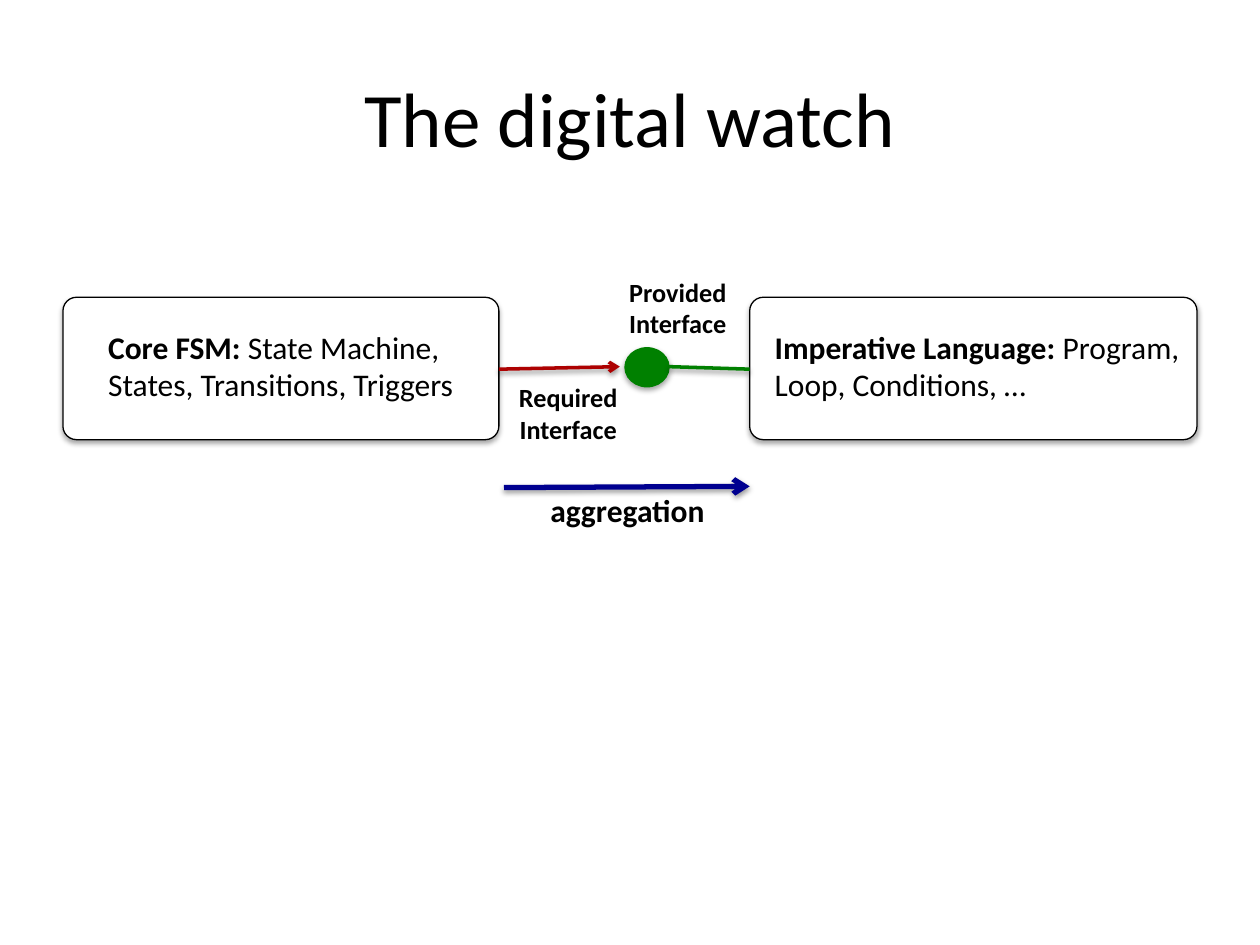
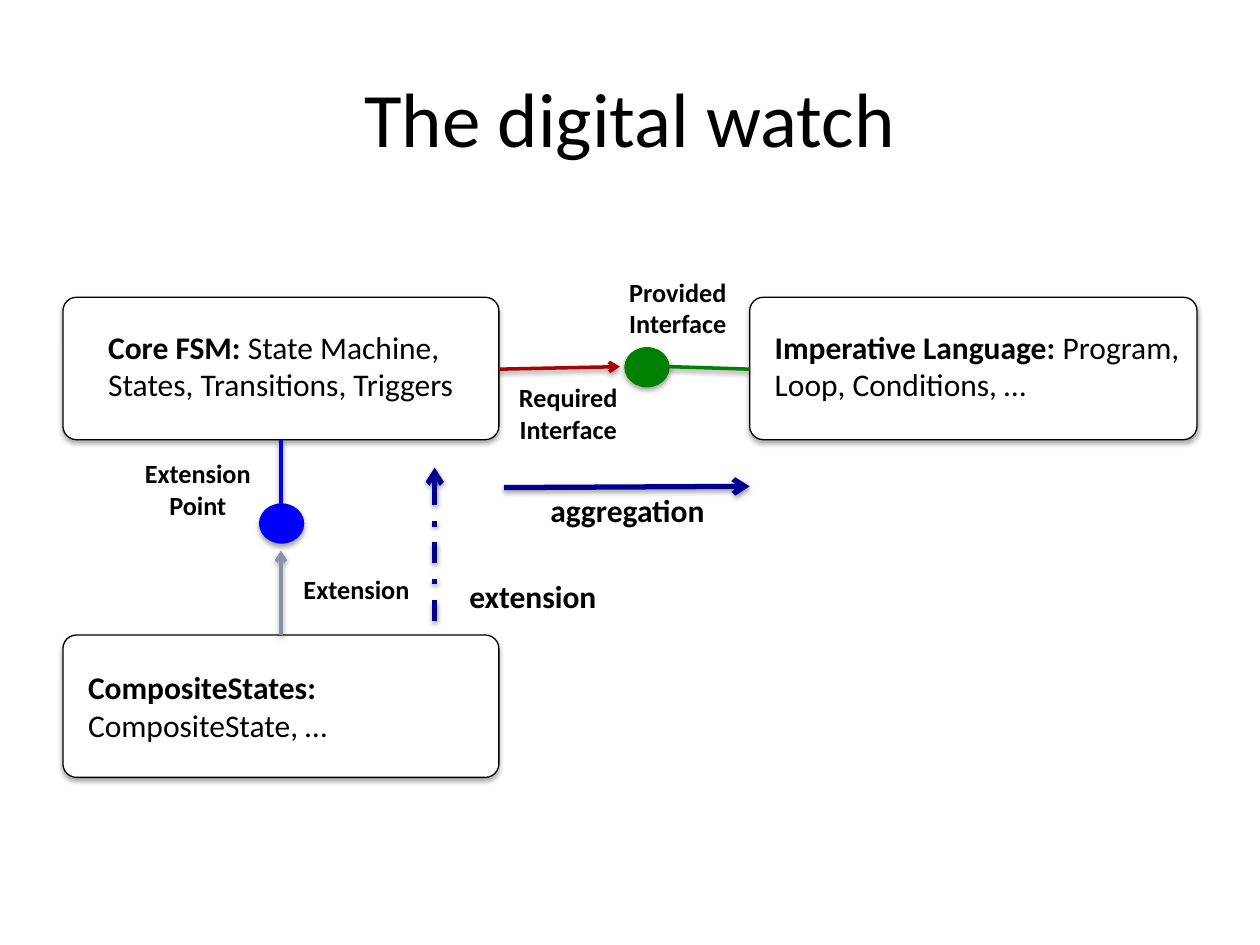
from lxml import etree
from pptx import Presentation
from pptx import util as u
from pptx.dml.color import RGBColor
from pptx.enum import dml, shapes, text
from pptx.oxml.ns import qn

PX = 9144  # EMU per px, 100 px to the inch
FONT = "Calibri"
TITLE = "The digital watch"

BLACK = RGBColor(0x00, 0x00, 0x00)
WHITE = RGBColor(0xFF, 0xFF, 0xFF)
REQUIRED_RED = RGBColor(0xAD, 0x01, 0x01)
PROVIDED_GREEN = RGBColor(0x00, 0x80, 0x00)
EXTENSION_BLUE = RGBColor(0x00, 0x00, 0xFF)
EXTENSION_GREY = RGBColor(0x84, 0x94, 0xA6)
RELATION_NAVY = RGBColor(0x00, 0x00, 0x90)

MODULE_HEIGHT = 113
TOP_ROW, BOTTOM_ROW = 236, 504
NAME_SIZE, INTERFACE_SIZE, TITLE_SIZE = 18, 15, 44


def px(*lengths):
    return [u.Emu(length * PX) for length in lengths]


def add_shadow(item, distance, opacity):
    """Drop a soft black shadow straight down; distance in points, opacity in percent."""
    effects = etree.SubElement(item.element.spPr, qn("a:effectLst"))
    shadow = etree.SubElement(
        effects, qn("a:outerShdw"), blurRad=str(u.Pt(3.1)), dist=str(u.Pt(distance)),
        dir="5400000", rotWithShape="0")
    color = etree.SubElement(shadow, qn("a:srgbClr"), val=str(BLACK))
    etree.SubElement(color, qn("a:alpha"), val=str(opacity * 1000))


def format_run(run, size, bold):
    run.font.name = FONT
    run.font.size = u.Pt(size)
    run.font.bold = bold
    run.font.color.rgb = BLACK


def add_title(slide):
    title = slide.shapes.title
    title.left, title.top, title.width, title.height = px(50, 30, 900, 125)
    frame = title.text_frame
    frame.text = TITLE
    frame.vertical_anchor = text.MSO_ANCHOR.MIDDLE
    frame.paragraphs[0].alignment = text.PP_ALIGN.CENTER
    format_run(frame.paragraphs[0].runs[0], TITLE_SIZE, False)


def add_text_frame(slide, box):
    frame = slide.shapes.add_textbox(*px(*box)).text_frame
    frame.word_wrap = True
    frame.auto_size = text.MSO_AUTO_SIZE.SHAPE_TO_FIT_TEXT
    return frame


def add_label(slide, box, wording, size=INTERFACE_SIZE):
    frame = add_text_frame(slide, box)
    frame.text = wording
    for paragraph in frame.paragraphs:
        paragraph.alignment = text.PP_ALIGN.CENTER
        format_run(paragraph.runs[0], size, True)


def add_solid(slide, kind, box, fill, outline):
    solid = slide.shapes.add_shape(kind, *px(*box))
    solid.fill.solid()
    solid.fill.fore_color.rgb = fill
    solid.line.color.rgb = outline
    solid.line.width = u.Pt(0.75)
    add_shadow(solid, 1.8, 35)
    return solid


def add_module(slide, left, top, width, text_box, name, concepts):
    """Draw a language module: a rounded box with its bold name and its concepts."""
    body = add_solid(slide, shapes.MSO_SHAPE.ROUNDED_RECTANGLE,
                     (left, top, width, MODULE_HEIGHT), WHITE, BLACK)
    body.adjustments[0] = 0.095
    paragraph = add_text_frame(slide, text_box).paragraphs[0]
    for wording, bold in ((name + ": ", True), (concepts, False)):
        run = paragraph.add_run()
        run.text = wording
        format_run(run, NAME_SIZE, bold)


def add_port(slide, left, top, color):
    add_solid(slide, shapes.MSO_SHAPE.OVAL, (left, top, 35, 31), color, color)


def add_link(slide, start, end, color, weight=2, arrow=True, dash=None):
    link = slide.shapes.add_connector(shapes.MSO_CONNECTOR.STRAIGHT, *px(*start, *end))
    link.line.color.rgb = color
    link.line.width = u.Pt(weight)
    if dash:
        link.line.dash_style = dash
    if arrow:
        etree.SubElement(link.element.spPr.find(qn("a:ln")), qn("a:tailEnd"), type="arrow")
    add_shadow(link, 1.6, 38)


def add_aggregation(slide):
    add_module(slide, 50, TOP_ROW, 346, (76, 255, 301, 71),
               "Core FSM", "State Machine, States, Transitions, Triggers")
    add_module(slide, 595, TOP_ROW, 355, (605, 255, 345, 71),
               "Imperative Language", "Program, Loop, Conditions, …")
    add_link(slide, (396, 293), (492, 291), REQUIRED_RED)
    add_port(slide, 496, 276, PROVIDED_GREEN)
    add_link(slide, (595, 293), (531, 291), PROVIDED_GREEN, arrow=False)
    add_label(slide, (389, 298, 124, 61), "Required\nInterface")
    add_label(slide, (476, 214, 124, 61), "Provided\nInterface")
    add_link(slide, (400, 387), (595, 386), RELATION_NAVY, weight=3)
    add_label(slide, (393, 385, 210, 40), "aggregation", NAME_SIZE)


def add_extension(slide):
    add_module(slide, 50, BOTTOM_ROW, 346, (60, 525, 345, 71),
               "CompositeStates", "CompositeState, …")
    add_port(slide, 206, 400, EXTENSION_BLUE)
    add_link(slide, (223, TOP_ROW + MODULE_HEIGHT), (223, 400), EXTENSION_BLUE, arrow=False)
    add_link(slide, (223, BOTTOM_ROW), (223, 437), EXTENSION_GREY)
    add_label(slide, (95, 358, 124, 61), "Extension Point")
    add_label(slide, (221, 450, 124, 35), "Extension")
    add_link(slide, (345, 493), (345, 371), RELATION_NAVY, weight=3,
             dash=dml.MSO_LINE.DASH_DOT)
    add_label(slide, (318, 453, 210, 40), "extension", NAME_SIZE)


def main():
    deck = Presentation()
    deck.slide_width, deck.slide_height = px(1000, 750)
    title_only = deck.slide_layouts.get_by_name("Title Only")
    for relations in ([add_aggregation], [add_aggregation, add_extension]):
        slide = deck.slides.add_slide(title_only)
        add_title(slide)
        for add_relation in relations:
            add_relation(slide)
    deck.save("out.pptx")


if __name__ == "__main__":
    main()
